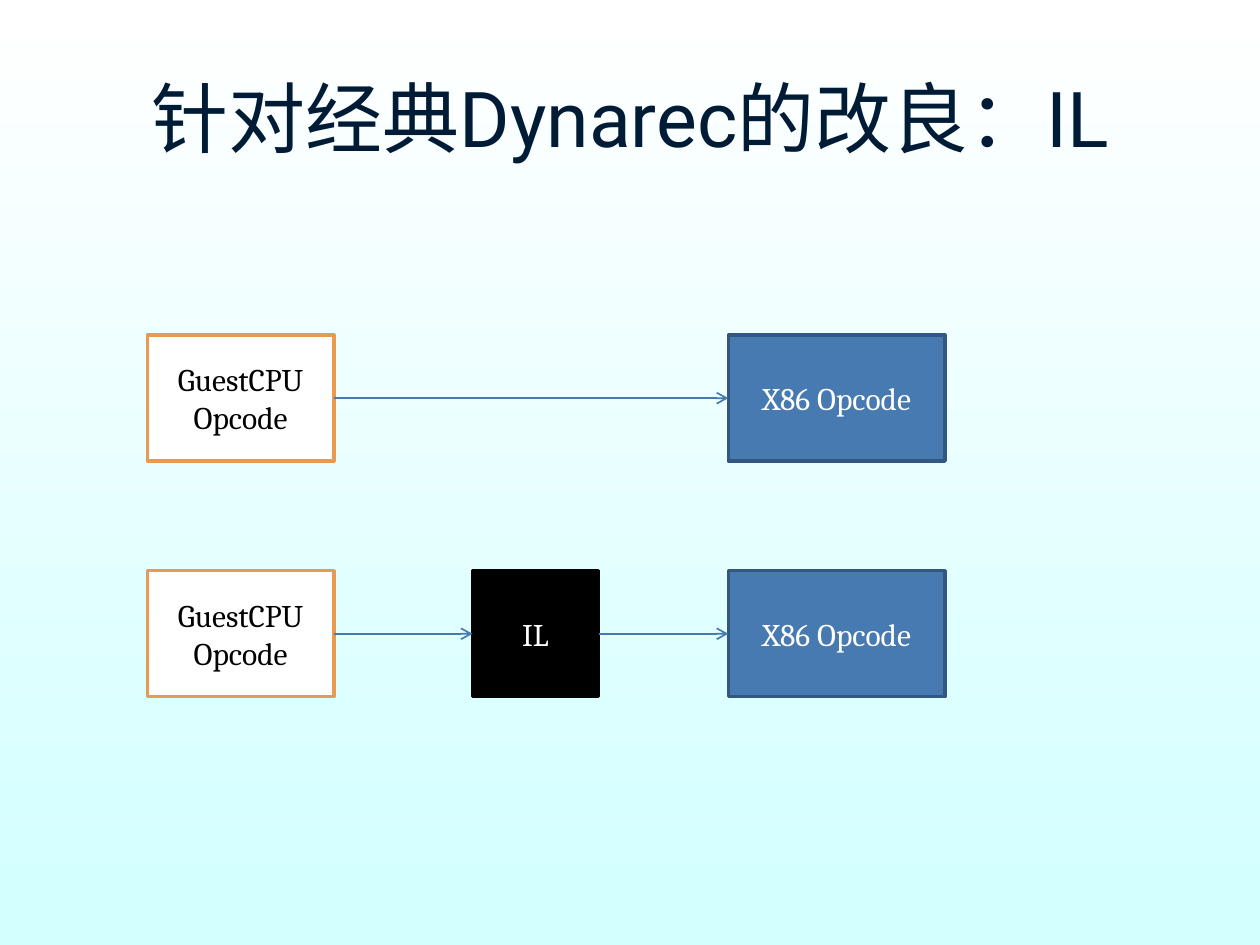
from dataclasses import dataclass

import pptx
import pptx.dml.color
import pptx.enum.shapes
import pptx.enum.text
import pptx.oxml
import pptx.oxml.ns
import pptx.util
from pptx.util import Inches

LEFT_SIDE, RIGHT_SIDE = 1, 3
ARROW_COLOR = "477AB1"


@dataclass
class BoxStyle:
    text: str
    left: float
    width: float
    fill: str
    outline: str
    text_color: str


SOURCE = BoxStyle("GuestCPU Opcode", 1.17, 1.48, "FFFFFF", "E89A53", "000000")
INTERMEDIATE = BoxStyle("IL", 3.75, 1, "000000", "000000", "FFFFFF")
TARGET = BoxStyle("X86 Opcode", 5.78, 1.72, "477AB1", "325881", "FFFFFF")


@dataclass
class Pipeline:
    top: float
    stages: list[BoxStyle]


PIPELINES = [
    Pipeline(2.66, [SOURCE, TARGET]),
    Pipeline(4.53, [SOURCE, INTERMEDIATE, TARGET]),
]


def color(value: str) -> pptx.dml.color.RGBColor:
    return pptx.dml.color.RGBColor.from_string(value)


def format_text(text_frame, size: float, font_name: str, text_color: str) -> None:
    text_frame.word_wrap = True
    text_frame.vertical_anchor = pptx.enum.text.MSO_ANCHOR.MIDDLE
    paragraph = text_frame.paragraphs[0]
    paragraph.alignment = pptx.enum.text.PP_ALIGN.CENTER
    paragraph.font.size = pptx.util.Pt(size)
    paragraph.font.name = font_name
    paragraph.font.color.rgb = color(text_color)


def add_box(slide, style: BoxStyle, top: float):
    shape = slide.shapes.add_shape(
        pptx.enum.shapes.MSO_SHAPE.RECTANGLE,
        Inches(style.left), Inches(top), Inches(style.width), Inches(1))
    shape.shadow.inherit = False
    shape.fill.solid()
    shape.fill.fore_color.rgb = color(style.fill)
    shape.line.color.rgb = color(style.outline)
    shape.line.width = pptx.util.Pt(2)
    shape.text_frame.text = style.text
    format_text(shape.text_frame, 18, "Cambria", style.text_color)
    return shape


def add_arrow(slide, start, end) -> None:
    connector = slide.shapes.add_connector(
        pptx.enum.shapes.MSO_CONNECTOR.STRAIGHT, 0, 0, 0, 0)
    connector.begin_connect(start, RIGHT_SIDE)
    connector.end_connect(end, LEFT_SIDE)
    connector.line.color.rgb = color(ARROW_COLOR)
    connector.line.width = pptx.util.Pt(1)
    # Open arrowhead, no shadow
    namespace = pptx.oxml.ns.nsdecls("a")
    connector.line._get_or_add_ln().append(
        pptx.oxml.parse_xml(f'<a:tailEnd {namespace} type="arrow"/>'))
    connector._element.spPr.append(
        pptx.oxml.parse_xml(f"<a:effectLst {namespace}/>"))


def main() -> None:
    presentation = pptx.Presentation()
    presentation.slide_width = Inches(10)
    presentation.slide_height = Inches(7.5)
    slide = presentation.slides.add_slide(presentation.slide_layouts[5])

    # Background: white at the top to pale cyan at the bottom
    background = slide.background.fill
    background.gradient()
    background.gradient_angle = 270
    for stop, value in zip(background.gradient_stops, ("FFFFFF", "D2FFFF")):
        stop.color.rgb = color(value)

    # Title
    title = slide.shapes.title
    title.left, title.top = Inches(0.5), Inches(0.3)
    title.width, title.height = Inches(9), Inches(1.25)
    title.text_frame.text = "针对经典Dynarec的改良：IL"
    format_text(title.text_frame, 44, "Roboto", "001B36")

    # Translation pipelines
    for pipeline in PIPELINES:
        boxes = [add_box(slide, style, pipeline.top) for style in pipeline.stages]
        for start, end in zip(boxes, boxes[1:]):
            add_arrow(slide, start, end)

    presentation.save("out.pptx")


if __name__ == "__main__":
    main()
